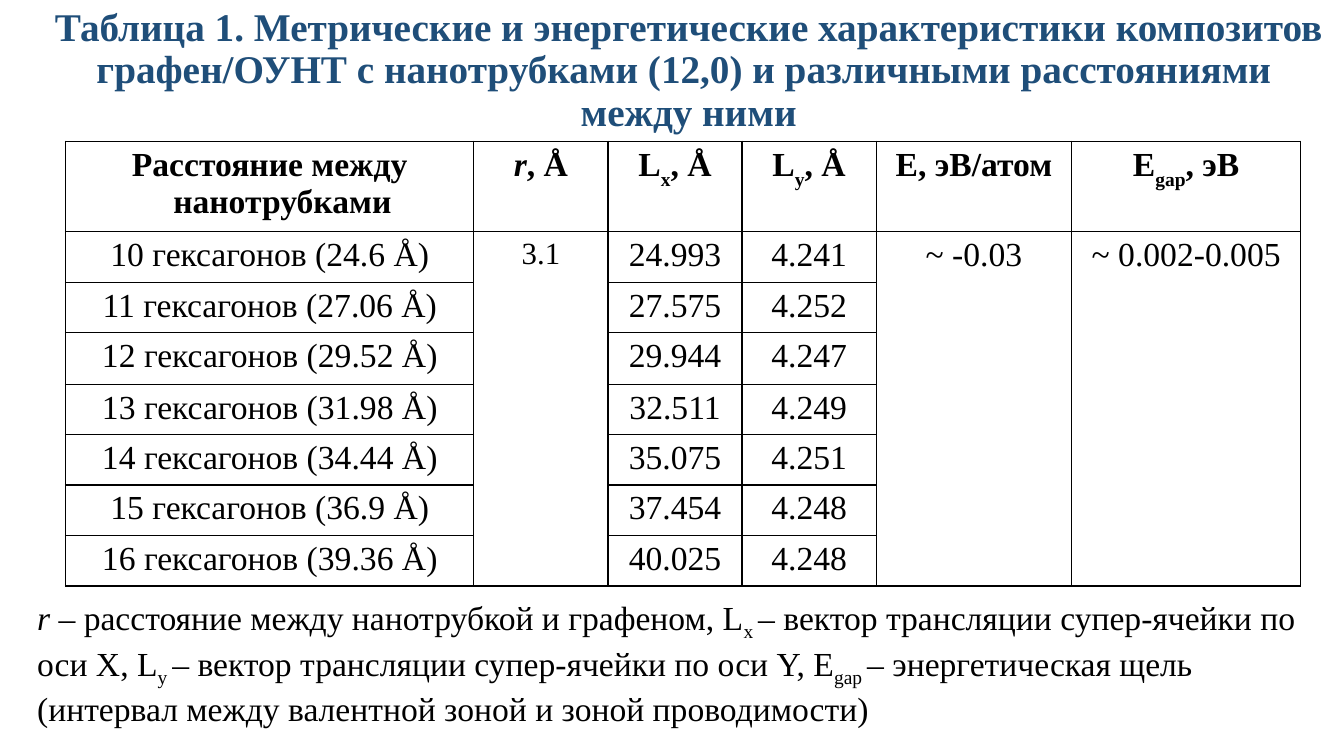
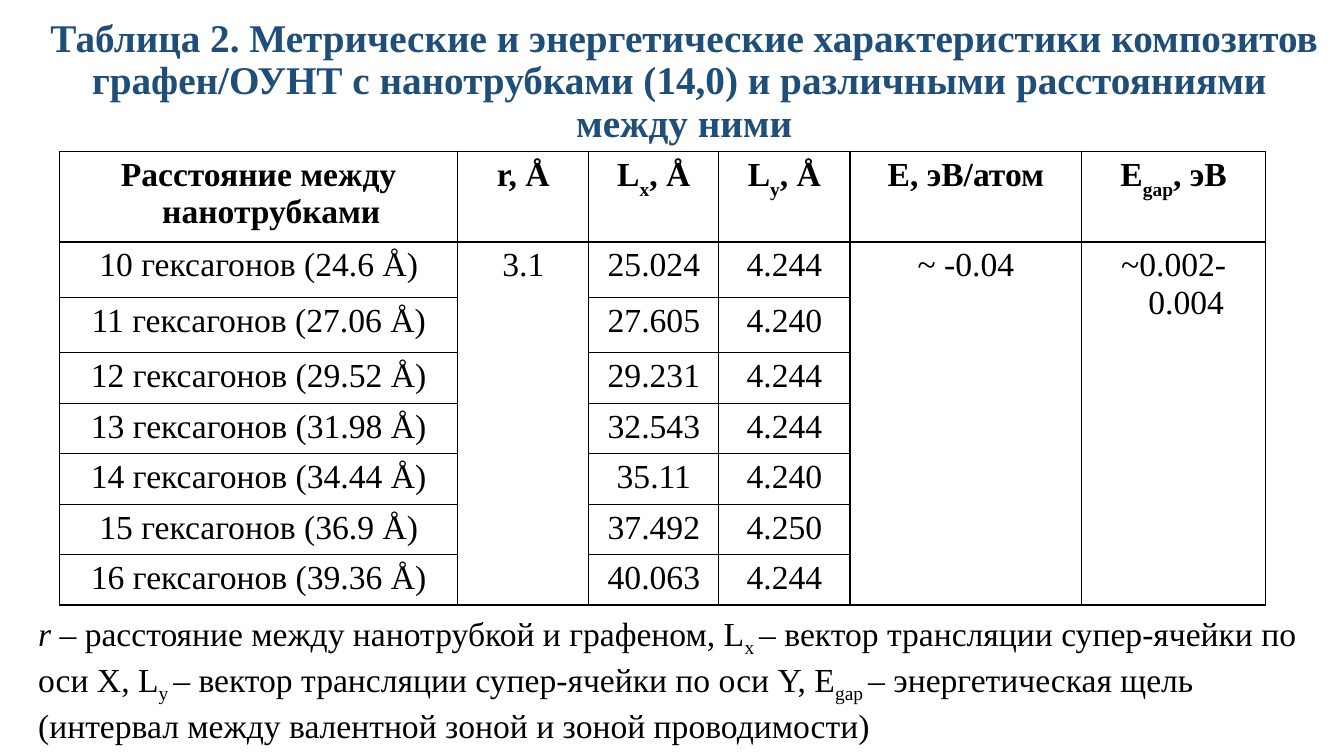
"""Build two slides tabulating graphene/nanotube composite characteristics."""
from dataclasses import dataclass

from lxml import etree
from pptx import Presentation
from pptx import util as u
from pptx.dml.color import RGBColor
from pptx.enum import text
from pptx.oxml.ns import qn


@dataclass(frozen=True)
class Theme:
    font: str = "Times New Roman"
    title_color: str = "1F4E79"
    ink: str = "000000"
    title_size: int = 28
    body_size: int = 24
    border: float = 1
    indent: float = 0.25


theme = Theme()


def write(p, runs, size=theme.body_size, color=theme.ink, bold=False, drop=-30):
    for content, style in runs:
        r = p.add_run()
        r.text = content
        r.font.name = theme.font
        r.font.size = u.Pt(size)
        r.font.bold = bold
        r.font.color.rgb = RGBColor.from_string(color)
        if style == "italic":
            r.font.italic = True
        if style == "sub":
            r._r.get_or_add_rPr().set("baseline", str(drop * 1000))


def add_borders(cell):
    tcPr = cell._tc.get_or_add_tcPr()
    for side in ("lnL", "lnR", "lnT", "lnB"):
        ln = etree.SubElement(tcPr, qn(f"a:{side}"), w=str(u.Pt(theme.border)))
        fill = etree.SubElement(ln, qn("a:solidFill"))
        etree.SubElement(fill, qn("a:srgbClr"), val=theme.ink)
    cell.fill.background()


distances = ["24.6", "27.06", "29.52", "31.98", "34.44", "36.9", "39.36"]

note = [
    ("r", "italic"),
    (" – расстояние между нанотрубкой и графеном, L", ""),
    ("x ", "sub"),
    ("– вектор трансляции супер-ячейки по оси X, L", ""),
    ("y ", "sub"),
    ("– вектор трансляции супер-ячейки по оси Y, E", ""),
    ("gap ", "sub"),
    ("– энергетическая щель (интервал между валентной зоной и зоной проводимости)", ""),
]

slides = [
    dict(
        number=1, tube="(12,0)", r_style="italic", r_size=22,
        title_box=(0.33, 0.22, 13, 0.97), table_at=(0.65, 1.4), note_at=(0.27, 5.87),
        cols=[4.05, 1.33, 1.33, 1.33, 1.94, 2.27],
        rows=[0.7, 0.5, 0.49, 0.51, 0.46, 0.47, 0.45, 0.38],
        lx=["24.993", "27.575", "29.944", "32.511", "35.075", "37.454", "40.025"],
        ly=["4.241", "4.252", "4.247", "4.249", "4.251", "4.248", "4.248"],
        energy="~ -0.03", gap="~ 0.002-0.005",
    ),
    dict(
        number=2, tube="(14,0)", r_style="", r_size=24,
        title_box=(0.24, 0.24, 13.09, 1.15), table_at=(0.59, 1.5), note_at=(0.28, 6.03),
        cols=[3.95, 1.3, 1.29, 1.3, 2.3, 1.82],
        rows=[0.82, 0.55, 0.55, 0.41, 0.47, 0.43, 0.34, 0.48],
        lx=["25.024", "27.605", "29.231", "32.543", "35.11", "37.492", "40.063"],
        ly=["4.244", "4.240", "4.244", "4.244", "4.240", "4.250", "4.244"],
        energy="~ -0.04", gap="~0.002-0.004",
    ),
]

prs = Presentation()
prs.slide_width, prs.slide_height = u.Inches(13.33), u.Inches(7.5)

for data in slides:
    s = prs.slides.add_slide(prs.slide_layouts[6])

    tf = s.shapes.add_textbox(*map(u.Inches, data["title_box"])).text_frame
    tf.word_wrap = True
    tf.vertical_anchor = text.MSO_ANCHOR.MIDDLE
    p = tf.paragraphs[0]
    p.alignment = text.PP_ALIGN.CENTER
    p.line_spacing = 0.9
    title = (
        f"Таблица {data['number']}. Метрические и энергетические характеристики "
        f"композитов графен/ОУНТ с нанотрубками {data['tube']} "
        "и различными расстояниями "
    )
    title_style = dict(size=theme.title_size, color=theme.title_color, bold=True)
    write(p, [(title, "")], **title_style)
    p.add_line_break()
    write(p, [("между ними", "")], **title_style)

    cols, rows = data["cols"], data["rows"]
    left, top = data["table_at"]
    frame = s.shapes.add_table(
        len(rows), len(cols), u.Inches(left), u.Inches(top),
        u.Inches(sum(cols)), u.Inches(sum(rows)),
    )
    table = frame.table
    table.first_row = table.horz_banding = False
    for column, width in zip(table.columns, cols):
        column.width = u.Inches(width)
    for row, height in zip(table.rows, rows):
        row.height = u.Inches(height)

    grid = [[
        [("Расстояние между нанотрубками", "")],
        [("r", data["r_style"]), (", Å", "")],
        [("L", ""), ("x", "sub"), (", Å", "")],
        [("L", ""), ("y", "sub"), (", Å", "")],
        [("E, эВ/атом", "")],
        [("E", ""), ("gap", "sub"), (", эВ", "")],
    ]]
    for i, (distance, lx, ly) in enumerate(zip(distances, data["lx"], data["ly"])):
        shared = ["3.1", data["energy"], data["gap"]] if i == 0 else [""] * 3
        values = [f"{10 + i} гексагонов ({distance} Å)", shared[0], lx, ly, *shared[1:]]
        grid.append([[(value, "")] if value else [] for value in values])

    for i, line in enumerate(grid):
        for j, runs in enumerate(line):
            cell = table.cell(i, j)
            add_borders(cell)
            p = cell.text_frame.paragraphs[0]
            p.alignment = text.PP_ALIGN.CENTER
            pPr = p._p.get_or_add_pPr()
            pPr.set("marL", str(u.Inches(theme.indent)))
            pPr.set("indent", str(-u.Inches(theme.indent)))
            size = data["r_size"] if i and j == 1 else theme.body_size
            write(p, runs, size=size, bold=i == 0)
    for j in (1, 4, 5):
        table.cell(1, j).merge(table.cell(len(rows) - 1, j))

    left, top = data["note_at"]
    tf = s.shapes.add_textbox(
        u.Inches(left), u.Inches(top), u.Inches(12.75), u.Inches(1.27)
    ).text_frame
    tf.word_wrap = True
    write(tf.paragraphs[0], note, drop=-25)

prs.save("out.pptx")
